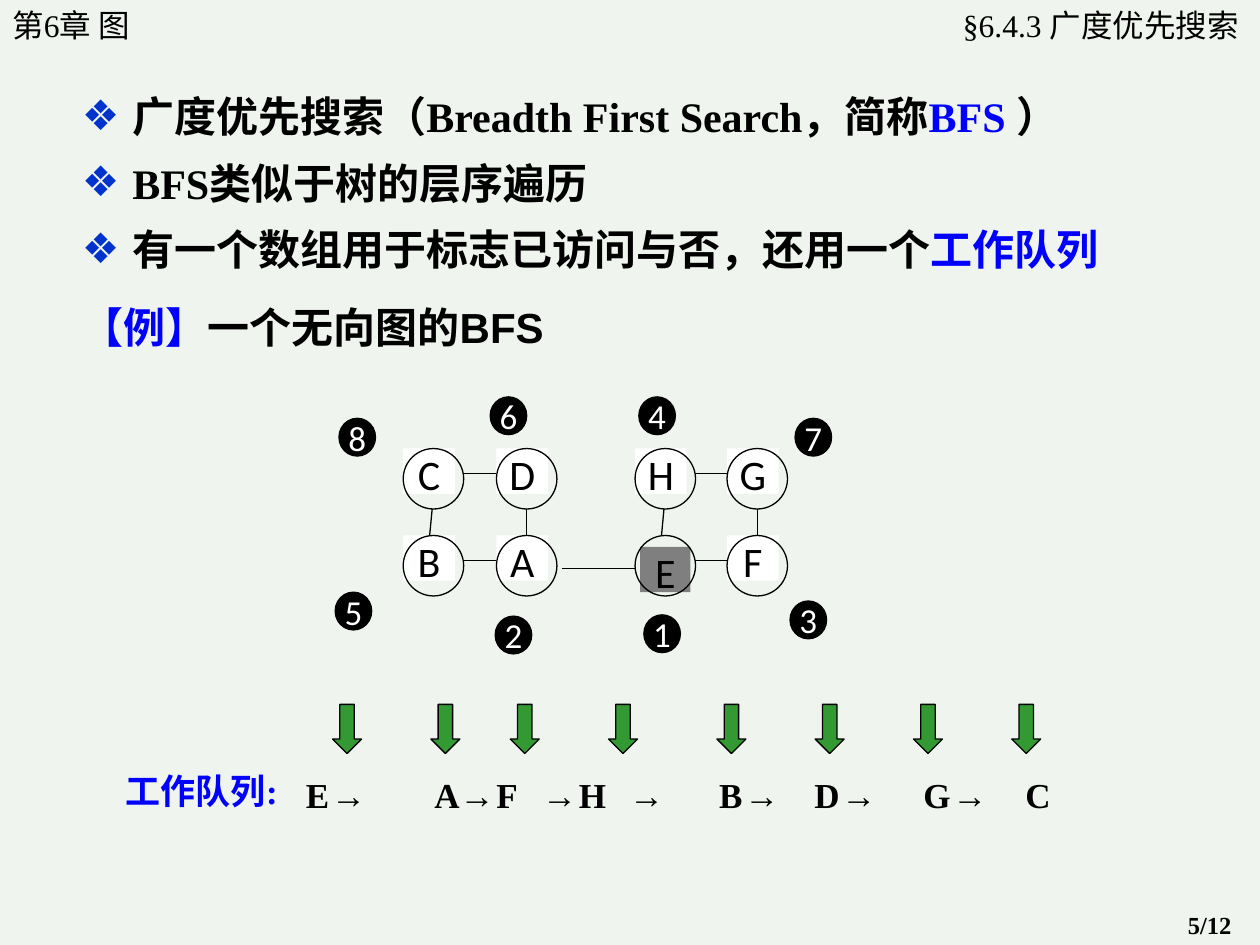
from dataclasses import dataclass
from itertools import product
from typing import Optional

import pptx
import pptx.dml.color
import pptx.enum.shapes
import pptx.enum.text
import pptx.oxml
import pptx.oxml.ns
import pptx.util

RGB = pptx.dml.color.RGBColor
PALE = RGB(0xEF, 0xF4, 0xEF)
BLACK = RGB(0, 0, 0)
WHITE = RGB(0xFF, 0xFF, 0xFF)
GREY = RGB(0x7F, 0x7F, 0x7F)
BLUE = RGB(0, 0, 0xFF)
MARK = RGB(0, 0x33, 0xCC)
GREEN = RGB(0x33, 0x99, 0x33)

SERIF, SANS, MONO, ROUND = "Times New Roman", "Arial", "Courier New", "Calibri"
KIND = pptx.enum.shapes.MSO_SHAPE
ALIGN = pptx.enum.text.PP_ALIGN
ANCHOR = pptx.enum.text.MSO_ANCHOR

WIDE, HIGH = pptx.util.Inches(10), pptx.util.Inches(7.5)
CELL = WIDE // 100  # the slide is a grid of 100 columns by 75 rows


@dataclass
class Run:
    text: str
    color: Optional[RGB] = None
    face: Optional[str] = None


@dataclass
class Box:
    """A place on the grid, in columns and rows."""
    col: float
    row: float
    wide: float
    high: float

    def span(self) -> list[int]:
        return [round(n * CELL) for n in (self.col, self.row, self.wide, self.high)]


@dataclass
class Badge:
    text: str
    col: float
    row: float


@dataclass
class Entry:
    """A part of the queue line, with its tab stops in columns."""
    col: float
    wide: float
    text: str
    tabs: tuple[float, ...] = ()


def add_tag(props, xml: str) -> None:
    props.append(pptx.oxml.parse_xml(xml.replace("<a:", f"<a:", 1).replace(
        " ", f" {pptx.oxml.ns.nsdecls('a')} ", 1)))


def write(frame, lines: list[list[Run]], face: str = SERIF, size: float = 24,
          color: RGB = BLACK, bold: bool = False, align=ALIGN.LEFT,
          anchor=ANCHOR.TOP, pad: tuple[float, float] = (1, 0.5),
          pitch: Optional[float] = None, bullet: str = "",
          tabs: tuple[float, ...] = ()) -> None:
    frame.word_wrap = True
    frame.auto_size = pptx.enum.text.MSO_AUTO_SIZE.NONE
    frame.vertical_anchor = anchor
    frame.margin_left = frame.margin_right = round(pad[0] * CELL)
    frame.margin_top = frame.margin_bottom = round(pad[1] * CELL)
    for k, runs in enumerate(lines):
        para = frame.add_paragraph() if k else frame.paragraphs[0]
        props = para._p.get_or_add_pPr()
        if bullet:
            props.set("marL", str(4 * CELL))
            props.set("indent", str(-4 * CELL))
            add_tag(props, f'<a:buClr ><a:srgbClr val="{MARK}"/></a:buClr>')
            add_tag(props, f'<a:buFont typeface="{SANS}"/>')
            add_tag(props, f'<a:buChar char="{bullet}"/>')
        if tabs:
            stops = "".join(f'<a:tab pos="{round(t * CELL)}" algn="l"/>' for t in tabs)
            add_tag(props, f"<a:tabLst >{stops}</a:tabLst>")
        para.alignment = align
        para.space_before = pptx.util.Pt(0)
        if pitch:
            para.line_spacing = pptx.util.Pt(pitch)
        for run in runs:
            piece = para.add_run()
            piece.text = run.text
            font = piece.font
            font.name, font.size = run.face or face, pptx.util.Pt(size)
            font.bold, font.color.rgb = bold, run.color or color


def label(slide, box: Box, runs: list[Run], **form) -> None:
    write(slide.shapes.add_textbox(*box.span()).text_frame, [runs], **form)


def fill_in(holder, box: Box, lines: list[list[Run]], **form) -> None:
    """Move a placeholder and set its text."""
    holder.left, holder.top, holder.width, holder.height = box.span()
    write(holder.text_frame, lines, **form)


def draw(slide, kind, box: Box, fill: Optional[RGB] = None, edge: bool = True):
    shape = slide.shapes.add_shape(kind, *box.span())
    shape.shadow.inherit = False
    if fill is None:
        shape.fill.background()
    else:
        shape.fill.solid()
        shape.fill.fore_color.rgb = fill
    if edge:
        shape.line.color.rgb = BLACK
        shape.line.width = pptx.util.Pt(0.75)
    else:
        shape.line.fill.background()
    return shape


def link(slide, *ends: float) -> None:
    wire = slide.shapes.add_connector(pptx.enum.shapes.MSO_CONNECTOR.STRAIGHT,
                                      *[round(n * CELL) for n in ends])
    wire.line.color.rgb = BLACK
    wire.line.width = pptx.util.Pt(0.75)
    add_tag(wire._element.spPr, "<a:effectLst />")


COLS, ROWS, SIDE = (32, 39.4, 50.4, 57.7), (35.6, 42.5), 4.8
NAMES = ("CDHG", "BAEF")
BADGES = [Badge("1", 51.1, 48.8), Badge("2", 39.3, 48.9), Badge("5", 26.6, 47),
          Badge("8", 26.9, 33.2), Badge("6", 38.9, 31.5), Badge("3", 62.7, 47.7),
          Badge("7", 63.1, 33.2), Badge("4", 50.7, 31.5)]
ARROWS = (26.4, 34.2, 40.5, 48.3, 56.9, 64.7, 72.5, 80.3)
QUEUE = [Entry(23.3, 10.9, "E →"), Entry(33.5, 22.7, "A → F\t→ H\t→", (9.1, 16)),
         Entry(56.1, 16.4, "B →\tD →", (7.55,)), Entry(72.3, 7.5, "G →"),
         Entry(80.4, 5, "C")]


def graph(slide) -> None:
    for row, left in product(ROWS, (0, 2)):
        link(slide, COLS[left] + SIDE, row + 2, COLS[left + 1], row + 2)
    for k, col in enumerate(COLS):
        mid = col + SIDE / 2
        lean = (0.1, 0.3) if k % 2 == 0 else (0, 0)
        link(slide, mid - lean[0], ROWS[0] + SIDE, mid - lean[1], ROWS[1])
    link(slide, 44.6, 45.1, COLS[2], 45.1)
    for (row, names) in zip(ROWS, NAMES):
        for col, name in zip(COLS, names):
            first = name == "E"
            tile = Box(col + 0.4, row + 0.9, 4, 3.6) if first else Box(col, row, 4.1, 3.6)
            card = draw(slide, KIND.RECTANGLE, tile, GREY if first else WHITE, False)
            write(card.text_frame, [[Run(name)]], face=ROUND, align=ALIGN.CENTER, pad=(0, 0))
            draw(slide, KIND.OVAL, Box(col, row, SIDE, SIDE))
    for badge in BADGES:
        disc = draw(slide, KIND.OVAL, Box(badge.col, badge.row, 2.9, 3), BLACK)
        write(disc.text_frame, [[Run(badge.text)]], face=ROUND, size=20, color=WHITE,
              align=ALIGN.CENTER, anchor=ANCHOR.MIDDLE, pad=(0, 0))


def queue(slide) -> None:
    for col in ARROWS:
        draw(slide, KIND.DOWN_ARROW, Box(col, 55.9, 2.3, 3.9), GREEN)
    label(slide, Box(9, 60.6, 16, 4.4), [Run("工作队列:")], size=20, color=BLUE, bold=True)
    for part in QUEUE:
        runs = [Run(c, face=MONO if c == "→" else SERIF) for c in part.text]
        label(slide, Box(part.col, 60.9, part.wide, 4.4), runs, size=20, bold=True,
              tabs=part.tabs)


def main() -> None:
    deck = pptx.Presentation()
    deck.slide_width, deck.slide_height = WIDE, HIGH
    slide = deck.slides.add_slide(deck.slide_layouts[1])
    slide.background.fill.solid()
    slide.background.fill.fore_color.rgb = PALE
    fill_in(slide.shapes.title, Box(67.2, 0, 32.1, 4), [[Run("§6.4.3 广度优先搜索")]],
            size=18, align=ALIGN.RIGHT)
    points = [[Run("广度优先搜索（Breadth First Search，简称"), Run("BFS ", BLUE), Run("）")],
              [Run("BFS类似于树的层序遍历")],
              [Run("有一个数组用于标志已访问与否，还用一个"), Run("工作队列", BLUE)]]
    fill_in(slide.placeholders[1], Box(5.5, 5.4, 87.5, 17), points, bold=True,
            pitch=38, bullet="❖")
    label(slide, Box(0, 0, 17.4, 4), [Run("第6章 图")], size=18)
    label(slide, Box(5.5, 23.4, 50.8, 5), [Run("【例】", BLUE), Run("一个无向图的BFS")],
          face=SANS, bold=True)
    graph(slide)
    queue(slide)
    label(slide, Box(93.3, 71.7, 6.7, 3.3), [Run("5/12")], size=14, bold=True)
    deck.save("out.pptx")


if __name__ == "__main__":
    main()
